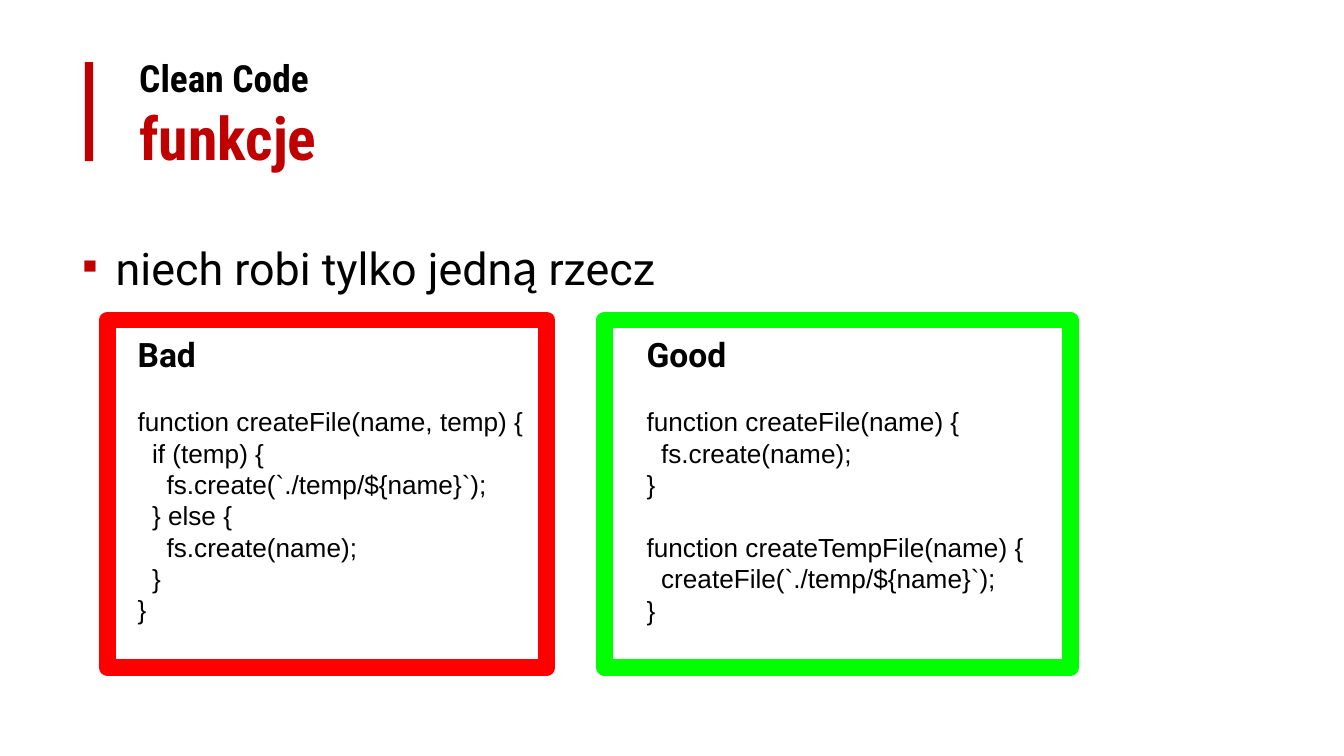
import pptx
import pptx.dml.color
import pptx.enum.shapes
import pptx.enum.text
import pptx.oxml.ns
import pptx.util
from lxml import etree

PX = 5715
RED = "C00000"
BLACK = "000000"

BAD = [[
    "function createFile(name, temp) {",
    "  if (temp) {",
    "    fs.create(`./temp/${name}`);",
    "  } else {",
    "    fs.create(name);",
    "  }",
    "}",
]]
GOOD = [
    ["function createFile(name) {", "  fs.create(name);", "}"],
    ["function createTempFile(name) {", "  createFile(`./temp/${name}`);", "}"],
]


def px(*values):
    """Turn px lengths into a list of EMU lengths."""
    return [pptx.util.Emu(v * PX) for v in values]


def color(value):
    """Return the RGB colour of a hex string."""
    return pptx.dml.color.RGBColor.from_string(value)


def style(r, size, name, fill=BLACK, bold=False):
    """Format one run."""
    r.font.size = pptx.util.Pt(size)
    r.font.name = name
    r.font.bold = bold
    r.font.color.rgb = color(fill)


def add_text(slide, box):
    """Add a wrapping text box and return its text frame."""
    tf = slide.shapes.add_textbox(*px(*box)).text_frame
    tf.word_wrap = True
    tf.auto_size = pptx.enum.text.MSO_AUTO_SIZE.NONE
    tf.vertical_anchor = pptx.enum.text.MSO_ANCHOR.TOP
    tf.margin_left, tf.margin_top, tf.margin_right, tf.margin_bottom = px(16, 16, 16, 16)
    return tf


def add_rect(slide, box):
    """Add a rectangle without shadow."""
    s = slide.shapes.add_shape(pptx.enum.shapes.MSO_SHAPE.RECTANGLE, *px(*box))
    s.shadow.inherit = False
    return s


def add_header(slide, x, y, w, h):
    """Draw the accent bar and the two-line title."""
    bar = add_rect(slide, (x, y + 24, 10, 118))
    bar.fill.solid()
    bar.fill.fore_color.rgb = color(RED)
    bar.line.fill.background()
    p = add_text(slide, (x + 49, y, w - 49, h)).paragraphs[0]
    p.text = "Clean Code\vfunkcje"
    style(p.runs[0], 20, "Roboto Condensed", BLACK, True)
    style(p.runs[1], 32, "Roboto Condensed", RED, True)


def add_bullet(slide, x, y, w, h):
    """Write the bulleted statement."""
    p = add_text(slide, (x, y, w, h)).paragraphs[0]
    pPr = p._p.get_or_add_pPr()
    indent, hanging = px(80, -40)
    pPr.set("marL", str(indent))
    pPr.set("indent", str(hanging))
    qn = pptx.oxml.ns.qn
    etree.SubElement(etree.SubElement(pPr, qn("a:buClr")), qn("a:srgbClr")).set("val", RED)
    etree.SubElement(pPr, qn("a:buFont")).set("typeface", "Arial")
    etree.SubElement(pPr, qn("a:buChar")).set("char", "▪")
    for text, size, name in (
        ("niech robi tylko jedn", 24, "Roboto"),
        ("ą", 28, "Calibri"),
        (" rzecz", 24, "Roboto"),
    ):
        r = p.add_run()
        r.text = text
        style(r, size, name)


def add_code_panel(slide, x, y, w, h, inset, title, blocks, frame):
    """Draw a framed code sample with its heading."""
    tf = add_text(slide, (x + inset, y, 571, h + 45))
    p = tf.paragraphs[0]
    p.text = title
    style(p.runs[0], 18, "Roboto", bold=True)
    for block in blocks:
        for i, line in enumerate(block):
            p = tf.add_paragraph()
            p.text = line
            p.space_before = pptx.util.Pt(0 if i else 17)
            style(p.runs[0], 14, "Arial")
    s = add_rect(slide, (x, y, w, h))
    s.fill.background()
    s.line.color.rgb = color(frame)
    s.line.width = pptx.util.Pt(9)
    etree.SubElement(s.line._get_or_add_ln(), pptx.oxml.ns.qn("a:round"))


def main():
    """Build and save the slide."""
    prs = pptx.Presentation()
    prs.slide_width, prs.slide_height = px(1600, 900)
    slide = prs.slides.add_slide(prs.slide_layouts[6])
    add_header(slide, 101, 50, 791, 150)
    add_bullet(slide, 42, 262, 1354, 118)
    add_code_panel(slide, 128, 381, 523, 414, 20, "Bad", BAD, "FF0000")
    add_code_panel(slide, 720, 381, 554, 414, 34, "Good", GOOD, "00FF00")
    prs.save("out.pptx")


if __name__ == "__main__":
    main()
